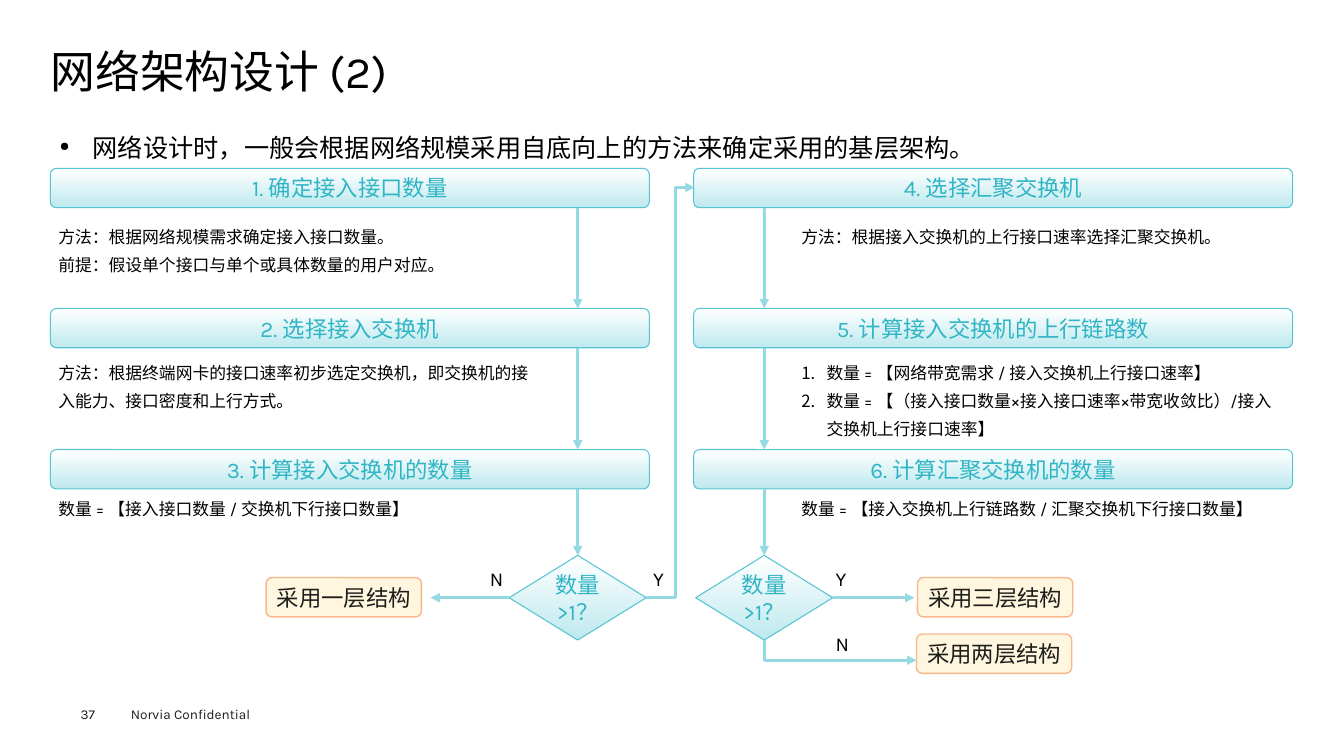
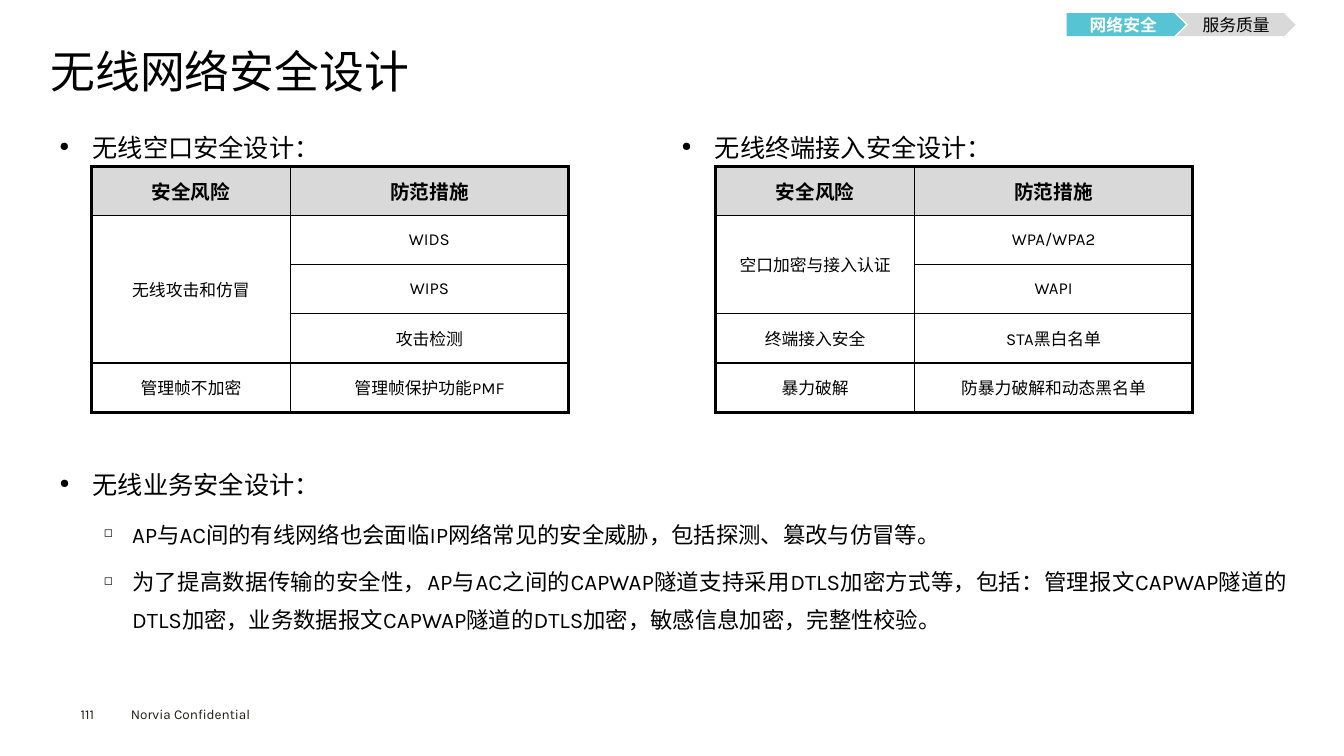
from lxml import etree
from pptx import Presentation
from pptx import util as u
from pptx.dml.color import RGBColor
from pptx.enum import shapes, text
from pptx.oxml import ns

FONT = "Karla"
COLORS = {
    "ink": "000000", "footer": "1D1D1B", "white": "FFFFFF",
    "teal": "56C4D2", "teal_text": "30B5C5", "teal_pale": "BEE9EE",
    "arrow": "94DAE2", "grey": "D9D9D9",
    "result": "FEF6DE", "result_edge": "F6B78C",
}
PRESET = shapes.MSO_SHAPE
ALIGN = text.PP_ALIGN
INSETS = (0.1, 0.05, 0.1, 0.05)
NO_INSETS = (0, 0, 0, 0)
# bullet level: mark, left margin, hanging indent, text size, space before
LEVELS = [("●", 0.33, -0.33, 18, 7.9), ("◻", 0.72, -0.28, 16, 7.2)]


def rgb(name):
    return RGBColor.from_string(COLORS[name])


def inches(*lengths):
    return [u.Inches(length) for length in lengths]


def add_xml(parent, tag, **attributes):
    return etree.SubElement(parent, ns.qn(tag), attributes)


class Deck:
    """Holds the shared style and the slide being built."""

    def __init__(self):
        self.prs = Presentation()
        self.prs.slide_width, self.prs.slide_height = inches(13.33, 7.5)
        self.slide = None

    def page(self, title, number):
        self.slide = self.prs.slides.add_slide(self.prs.slide_layouts[5])
        heading = self.slide.shapes.title
        heading.left, heading.top, heading.width, heading.height = inches(0.5, 0.49, 12.35, 0.53)
        self.set_text(heading.text_frame, [title], 32, insets=NO_INSETS, spacing=0.9)
        self.text((1.2, 6.95, 1.6, 0.27), ["Norvia Confidential"], 9.7, color="footer")
        self.text((0.8, 7, 0.55, 0.16), [str(number)], 9.7, color="footer", insets=NO_INSETS)

    def indent(self, paragraph, left, hanging):
        properties = paragraph._p.get_or_add_pPr()
        properties.set("marL", str(u.Inches(left)))
        properties.set("indent", str(u.Inches(hanging)))
        return properties

    def style(self, paragraph, size, color="ink", bold=False, align=ALIGN.LEFT, spacing=None):
        paragraph.alignment = align
        paragraph.line_spacing = spacing
        font = paragraph.font
        font.name, font.size, font.bold = FONT, u.Pt(size), bold
        font.color.rgb = rgb(color)

    def frame(self, frame, insets, anchor, wrap=True):
        frame.word_wrap = wrap
        frame.auto_size = text.MSO_AUTO_SIZE.NONE
        frame.vertical_anchor = anchor
        (frame.margin_left, frame.margin_top,
         frame.margin_right, frame.margin_bottom) = inches(*insets)

    def set_text(self, frame, lines, size, insets=INSETS, anchor=text.MSO_ANCHOR.TOP,
                 wrap=True, numbered=False, **style):
        self.frame(frame, insets, anchor, wrap)
        for i, line in enumerate(lines):
            paragraph = frame.add_paragraph() if i else frame.paragraphs[0]
            paragraph.text = line
            if numbered:
                add_xml(self.indent(paragraph, 0.25, -0.25), "a:buAutoNum", type="arabicPeriod")
            self.style(paragraph, size, **style)

    def text(self, box, lines, size, **options):
        area = self.slide.shapes.add_textbox(*inches(*box))
        self.set_text(area.text_frame, lines, size, **options)

    def bullets(self, box, items):
        frame = self.slide.shapes.add_textbox(*inches(*box)).text_frame
        self.frame(frame, (0.09, 0.04, 0.09, 0.04), text.MSO_ANCHOR.TOP)
        for i, (level, line) in enumerate(items):
            mark, left, hanging, size, before = LEVELS[level]
            paragraph = frame.add_paragraph() if i else frame.paragraphs[0]
            paragraph.text = line
            paragraph.level = level
            properties = self.indent(paragraph, left, hanging)
            add_xml(properties, "a:buSzPct", val="50000")
            add_xml(properties, "a:buChar", char=mark)
            self.style(paragraph, size, align=ALIGN.JUSTIFY, spacing=1.4)
            if i:
                paragraph.space_before = u.Pt(before)

    def shape(self, preset, box, label, size, color, fill=None, edge=None, edge_width=1,
              insets=INSETS, bold=False):
        """Draws a labelled shape; without a fill colour it gets the teal gradient."""
        shape = self.slide.shapes.add_shape(preset, *inches(*box))
        shape.shadow.inherit = False
        if preset == PRESET.ROUNDED_RECTANGLE:
            shape.adjustments[0] = 0.15
        if fill:
            shape.fill.solid()
            shape.fill.fore_color.rgb = rgb(fill)
        else:
            shape.fill.gradient()
            shape.fill.gradient_angle = 270
            for stop, name in zip(shape.fill.gradient_stops, ("white", "teal_pale")):
                stop.color.rgb = rgb(name)
        if edge:
            shape.line.color.rgb = rgb(edge)
            shape.line.width = u.Pt(edge_width)
        else:
            shape.line.fill.background()
        self.set_text(shape.text_frame, [label], size, insets=insets, color=color, bold=bold,
                      anchor=text.MSO_ANCHOR.MIDDLE, align=ALIGN.CENTER)

    def step(self, preset, box, label):
        self.shape(preset, box, label, 16, "teal_text", edge="teal", edge_width=0.75)

    def result(self, left, top, label):
        self.shape(PRESET.ROUNDED_RECTANGLE, (left, top, 1.54, 0.39), label, 16, "footer",
                   fill="result", edge="result_edge", insets=NO_INSETS)

    def arrow(self, *points):
        """Joins the points; only a route with corners needs a freeform."""
        start, *rest = [inches(*point) for point in points]
        if len(rest) == 1:
            route = self.slide.shapes.add_connector(
                shapes.MSO_CONNECTOR.STRAIGHT, *start, *rest[0])
            add_xml(route._element.spPr, "a:effectLst")
        else:
            builder = self.slide.shapes.build_freeform(*start)
            builder.add_line_segments(rest, close=False)
            route = builder.convert_to_shape()
            route.shadow.inherit = False
            route.fill.background()
        route.line.color.rgb = rgb("arrow")
        route.line.width = u.Pt(2.25)
        add_xml(route._element.spPr.find(ns.qn("a:ln")), "a:tailEnd", type="triangle")

    def border(self, cell, side, width):
        line = add_xml(cell._tc.get_or_add_tcPr(), "a:ln" + side, w=str(u.Pt(width)))
        add_xml(add_xml(line, "a:solidFill"), "a:srgbClr", val=COLORS["ink"])

    def risk_table(self, left, risks):
        """Each risk spans the rows of its measures."""
        rows = [("安全风险", "防范措施")]
        spans = []
        for risk, measures in risks:
            spans.append((len(rows), len(rows) + len(measures) - 1))
            rows += [(risk if i == 0 else "", name) for i, name in enumerate(measures)]
        table = self.slide.shapes.add_table(
            len(rows), 2, *inches(left, 1.65, 4.73, 2.44)).table
        table.first_row = table.horz_banding = False
        table.columns[0].width, table.columns[1].width = inches(1.97, 2.76)
        for first, last in spans:
            if last > first:
                table.cell(first, 0).merge(table.cell(last, 0))
        for r, row in enumerate(rows):
            for c, label in enumerate(row):
                cell = table.cell(r, c)
                if cell.is_spanned:
                    continue
                bottom = r + cell.span_height if cell.is_merge_origin else r + 1
                outer = {"L": c == 0, "R": c == 1, "T": r == 0, "B": bottom == len(rows)}
                for side, is_outer in outer.items():
                    self.border(cell, side, 2.25 if is_outer else 1)
                if r == 0:
                    cell.fill.solid()
                    cell.fill.fore_color.rgb = rgb("grey")
                else:
                    cell.fill.background()
                cell.vertical_anchor = text.MSO_ANCHOR.MIDDLE
                cell.text = label
                self.style(cell.text_frame.paragraphs[0], 12 if r else 14,
                           bold=r == 0, align=ALIGN.CENTER)


def architecture_page(deck):
    deck.page("网络架构设计 (2)", 37)
    deck.bullets((0.5, 1.15, 12.35, 0.46), [
        (0, "网络设计时，一般会根据网络规模采用自底向上的方法来确定采用的基层架构。")])

    # Two columns of three steps, each ending in a decision
    columns = [
        (0.5, 0.48, 5.73, [
            ("1. 确定接入接口数量",
             ["方法：根据网络规模需求确定接入接口数量。",
              "前提：假设单个接口与单个或具体数量的用户对应。"]),
            ("2. 选择接入交换机",
             ["方法：根据终端网卡的接口速率初步选定交换机，即交换机的接入能力、接口密度和上行方式。"]),
            ("3. 计算接入交换机的数量",
             ["数量 = 【接入接口数量 / 交换机下行接口数量】"]),
        ]),
        (6.88, 7.85, 7.58, [
            ("4. 选择汇聚交换机",
             ["方法：根据接入交换机的上行接口速率选择汇聚交换机。"]),
            ("5. 计算接入交换机的上行链路数",
             ["数量 = 【网络带宽需求 / 接入交换机上行接口速率】",
              "数量 = 【（接入接口数量×接入接口速率×带宽收敛比）/接入交换机上行接口速率】"]),
            ("6. 计算汇聚交换机的数量",
             ["数量 = 【接入交换机上行链路数 / 汇聚交换机下行接口数量】"]),
        ]),
    ]
    bar_height, decision_top = 0.39, 5.51
    bar_tops = [1.67, 3.06, 4.46]
    ends = bar_tops[1:] + [decision_top]
    for bar_left, note_left, flow_x, steps in columns:
        for i, (heading, notes) in enumerate(steps):
            deck.step(PRESET.ROUNDED_RECTANGLE, (bar_left, bar_tops[i], 5.94, bar_height), heading)
            deck.arrow((flow_x, bar_tops[i] + bar_height), (flow_x, ends[i]))
            deck.text((note_left, 2.12 + 1.35 * i, 4.97, 0.66), notes, 12,
                      spacing=u.Pt(20), numbered=heading.startswith("5."))
        deck.step(PRESET.DIAMOND, (flow_x - 0.68, decision_top, 1.36, 0.84), "数量>1？")

    # Outcomes of the decisions
    deck.arrow((5.05, 5.93), (4.27, 5.93))
    deck.arrow((6.41, 5.93), (6.7, 5.93), (6.7, 1.86), (6.89, 1.86))
    deck.arrow((8.26, 5.93), (9.07, 5.93))
    deck.arrow((7.58, 6.35), (7.58, 6.55), (9.09, 6.55))
    deck.result(2.64, 5.73, "采用一层结构")
    deck.result(9.1, 5.73, "采用三层结构")
    deck.result(9.09, 6.29, "采用两层结构")
    for answer, left, top in [("N", 4.76, 5.58), ("Y", 6.38, 5.58),
                              ("Y", 8.19, 5.58), ("N", 8.19, 6.22)]:
        deck.text((left, top, 0.35, 0.34), [answer], 14, wrap=False)


def security_page(deck):
    deck.page("无线网络安全设计", 111)

    # Section markers
    deck.shape(PRESET.PENTAGON, (10.58, 0.13, 1.18, 0.23), "网络安全", 12, "white",
               fill="teal", insets=NO_INSETS, bold=True)
    deck.shape(PRESET.CHEVRON, (11.67, 0.13, 1.18, 0.23), "服务质量", 12, "ink",
               fill="grey", insets=NO_INSETS)

    # Risks and measures
    deck.bullets((0.5, 1.15, 2.86, 0.48), [(0, "无线空口安全设计：")])
    deck.risk_table(0.91, [
        ("无线攻击和仿冒", ["WIDS", "WIPS", "攻击检测"]),
        ("管理帧不加密", ["管理帧保护功能PMF"]),
    ])
    deck.bullets((6.67, 1.15, 3.55, 0.48), [(0, "无线终端接入安全设计：")])
    deck.risk_table(7.1, [
        ("空口加密与接入认证", ["WPA/WPA2", "WAPI"]),
        ("终端接入安全", ["STA黑白名单"]),
        ("暴力破解", ["防暴力破解和动态黑名单"]),
    ])

    # Service security
    deck.bullets((0.5, 4.5, 12.35, 2.28), [
        (0, "无线业务安全设计："),
        (1, "AP与AC间的有线网络也会面临IP网络常见的安全威胁，包括探测、篡改与仿冒等。"),
        (1, "为了提高数据传输的安全性，AP与AC之间的CAPWAP隧道支持采用DTLS加密方式等，"
            "包括：管理报文CAPWAP隧道的DTLS加密，业务数据报文CAPWAP隧道的DTLS加密，"
            "敏感信息加密，完整性校验。"),
    ])


def main():
    deck = Deck()
    architecture_page(deck)
    security_page(deck)
    deck.prs.save("out.pptx")


if __name__ == "__main__":
    main()
